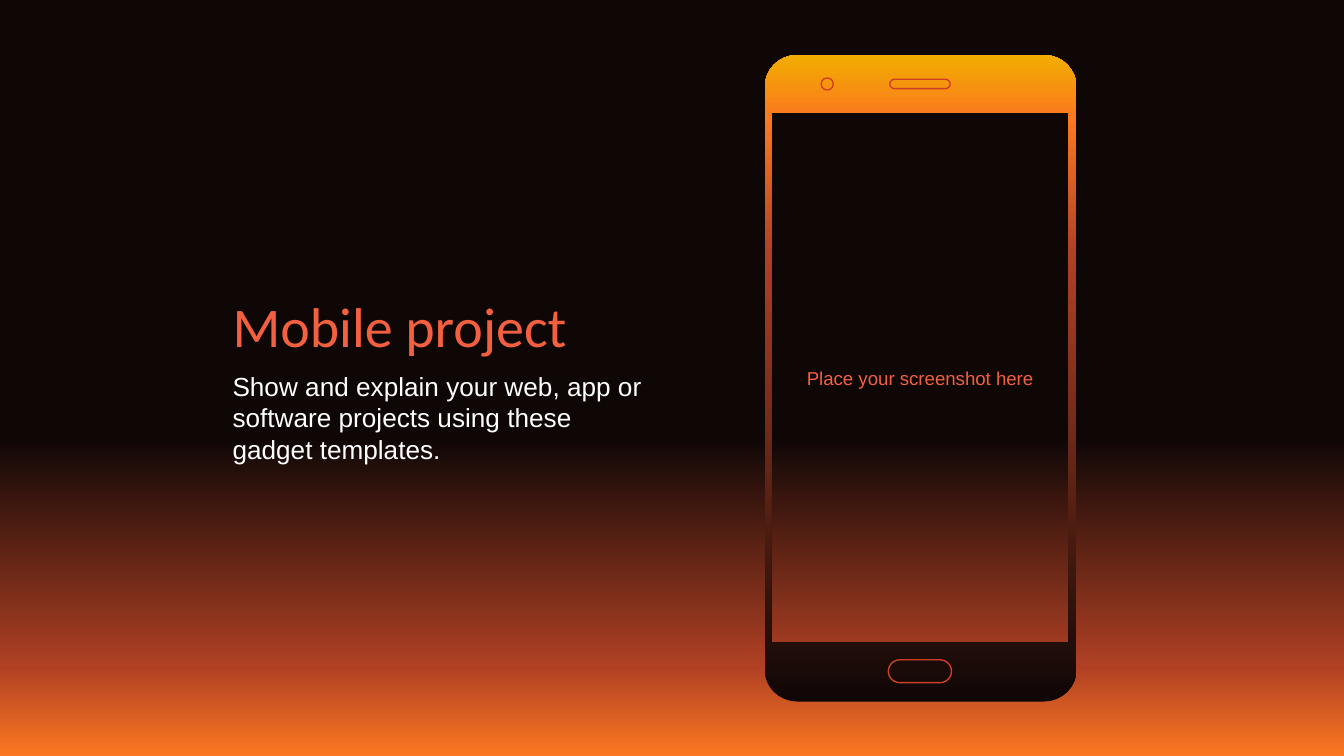
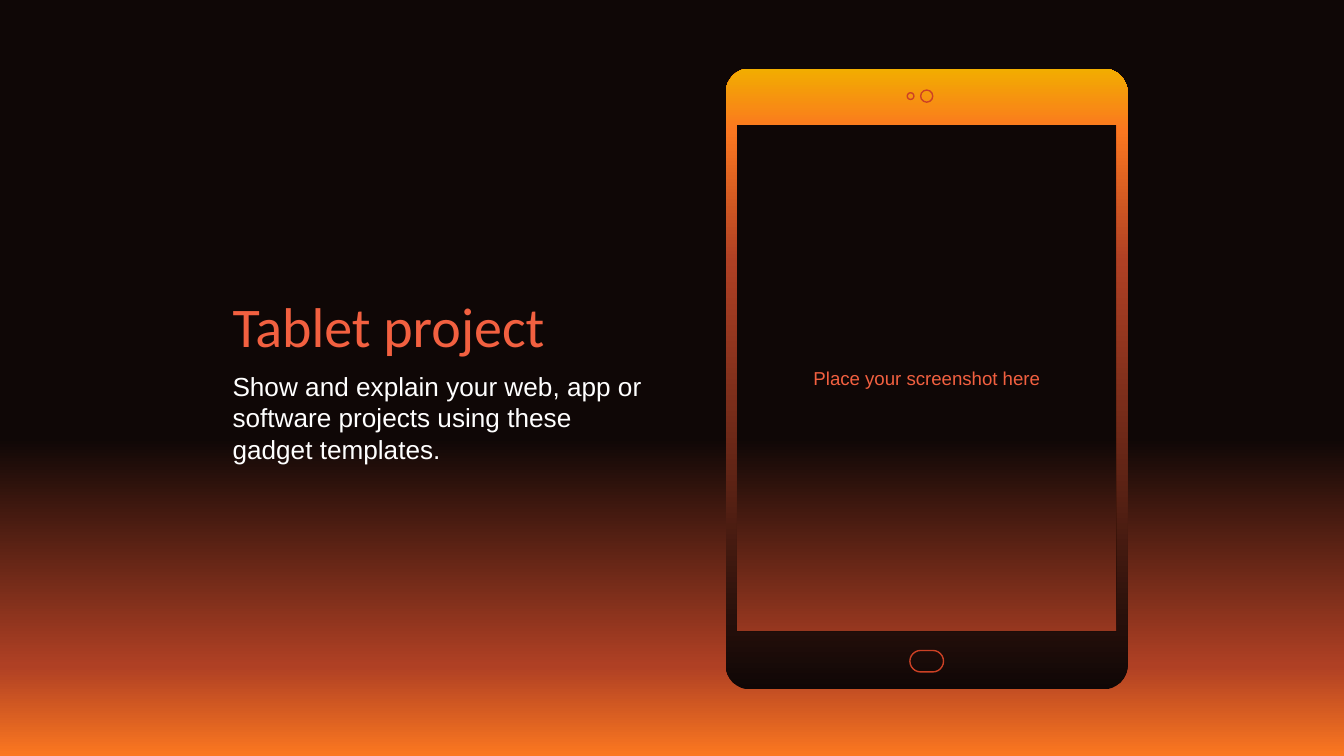
from copy import deepcopy
from dataclasses import dataclass
from math import cos, pi, sin

from pptx import Presentation
from pptx.dml.color import RGBColor
from pptx.enum.shapes import MSO_SHAPE as Preset
from pptx.enum.text import MSO_ANCHOR as Anchor, MSO_AUTO_SIZE as AutoSize, PP_ALIGN as Align
from pptx.oxml.ns import qn
from pptx.util import Inches, Pt


@dataclass(frozen=True)
class Theme:
    accent: str = "F26040"
    white: str = "FFFFFF"
    detail: str = "CC4125"
    heading_font: str = "Calibri"
    text_font: str = "Arial"
    title_size: int = 30
    body_size: int = 14
    label_size: int = 10
    detail_line: float = 0.75
    inset: float = 0.1
    gap: int = 6
    glow: tuple = ((0, "0F0706"), (58, "0F0706"), (88, "AF4024"), (100, "FB7720"))
    metal: tuple = ((0, "0F0706"), (69, "AF4024"), (90, "FB7720"), (100, "F2AD00"))


THEME = Theme()
WIDTH, HEIGHT = 10, 10 * 9 / 16
TEXT_BOX = (1.63, 0, 3.26, HEIGHT)
DESCRIPTION = "Show and explain your web, app or software projects using these gadget templates."
LABEL = "Place your screenshot here"

DEVICES = [
    {
        "title": "Mobile project",
        "frame": (5.69, 0.41, 2.32, 4.81),
        "corner": 0.24,
        "screen": (5.74, 0.84, 2.21, 3.94),
        "details": [
            (Preset.ROUNDED_RECTANGLE, (6.61, 4.91, 0.47, 0.17)),
            (Preset.OVAL, (6.11, 0.58, 0.09, 0.09)),
            (Preset.ROUNDED_RECTANGLE, (6.62, 0.59, 0.45, 0.07)),
        ],
    },
    {
        "title": "Tablet project",
        "frame": (5.4, 0.51, 2.99, 4.62),
        "corner": 0.18,
        "screen": (5.48, 0.93, 2.83, 3.77),
        "details": [
            (Preset.ROUNDED_RECTANGLE, (6.77, 4.84, 0.25, 0.16)),
            (Preset.OVAL, (6.75, 0.69, 0.05, 0.05)),
            (Preset.OVAL, (6.85, 0.67, 0.09, 0.09)),
        ],
    },
]


def inches(values):
    return [Inches(value) for value in values]


def set_gradient(fill, element, stops, angle):
    fill.gradient()
    fill.gradient_angle = angle
    stop_list = next(element.iter(qn("a:gsLst")))
    for _ in stops[2:]:
        stop_list.append(deepcopy(stop_list[0]))
    for stop, (percent, color) in zip(fill.gradient_stops, stops):
        stop.position = percent / 100
        stop.color.rgb = RGBColor.from_string(color)


def write(paragraph, text, font, size, color, align=Align.LEFT, before=0):
    properties = paragraph._p.get_or_add_pPr()
    properties.set("marL", "0")
    properties.set("indent", "0")
    paragraph.alignment = align
    paragraph.space_before = Pt(before)
    properties.append(properties.makeelement(qn("a:buNone"), {}))
    run = paragraph.add_run()
    run.text = text
    run.font.name = font
    run.font.size = Pt(size)
    run.font.color.rgb = RGBColor.from_string(color)


def prepare_frame(shape):
    frame = shape.text_frame
    frame.word_wrap = True
    frame.auto_size = AutoSize.NONE
    frame.vertical_anchor = Anchor.MIDDLE
    frame.margin_left = frame.margin_right = Inches(THEME.inset)
    frame.margin_top = frame.margin_bottom = Inches(THEME.inset)
    return frame


def rounded_outline(box, radius, steps=8):
    left, top, width, height = box
    right, bottom = left + width - radius, top + height - radius
    left, top = left + radius, top + radius
    centers = [(right, bottom), (left, bottom), (left, top), (right, top)]
    return [
        (x + radius * cos(angle), y + radius * sin(angle))
        for quarter, (x, y) in enumerate(centers)
        for angle in ((quarter + step / steps) * pi / 2 for step in range(steps + 1))
    ]


def add_device(slide, device):
    group = slide.shapes.add_group_shape()
    left, top, width, height = device["screen"]
    right, bottom = left + width, top + height
    corners = [(right, top), (right, bottom), (left, bottom), (left, top)]
    screen = [inches(point) for point in corners]
    outline = [inches(point) for point in rounded_outline(device["frame"], device["corner"])]
    outline.reverse()
    builder = group.shapes.build_freeform(*screen[0])
    builder.add_line_segments(screen[1:], close=True)
    builder.move_to(*outline[0])
    builder.add_line_segments(outline[1:], close=True)
    frame = builder.convert_to_shape()
    frame.shadow.inherit = False
    frame.line.fill.background()
    set_gradient(frame.fill, frame.element, THEME.metal, 90)
    for preset, box in device["details"]:
        detail = group.shapes.add_shape(preset, *inches(box))
        if preset == Preset.ROUNDED_RECTANGLE:
            detail.adjustments[0] = 0.5
        detail.shadow.inherit = False
        detail.fill.background()
        detail.line.color.rgb = RGBColor.from_string(THEME.detail)
        detail.line.width = Pt(THEME.detail_line)


def add_slide(presentation, device):
    slide = presentation.slides.add_slide(presentation.slide_layouts[1])
    title = slide.shapes.title.element
    title.getparent().remove(title)

    label = slide.shapes.add_textbox(*inches(device["screen"]))
    write(prepare_frame(label).paragraphs[0], LABEL, THEME.text_font, THEME.label_size,
          THEME.accent, align=Align.CENTER)
    add_device(slide, device)

    body = slide.placeholders[1]
    body.left, body.top, body.width, body.height = inches(TEXT_BOX)
    frame = prepare_frame(body)
    write(frame.paragraphs[0], device["title"], THEME.heading_font, THEME.title_size, THEME.accent)
    write(frame.add_paragraph(), DESCRIPTION, THEME.text_font, THEME.body_size, THEME.white,
          before=THEME.gap)


def main():
    presentation = Presentation()
    presentation.slide_width, presentation.slide_height = inches((WIDTH, HEIGHT))
    background = presentation.slide_master.background
    set_gradient(background.fill, presentation.slide_master.element, THEME.glow, 270)
    for device in DEVICES:
        add_slide(presentation, device)
    presentation.save("out.pptx")


if __name__ == "__main__":
    main()
